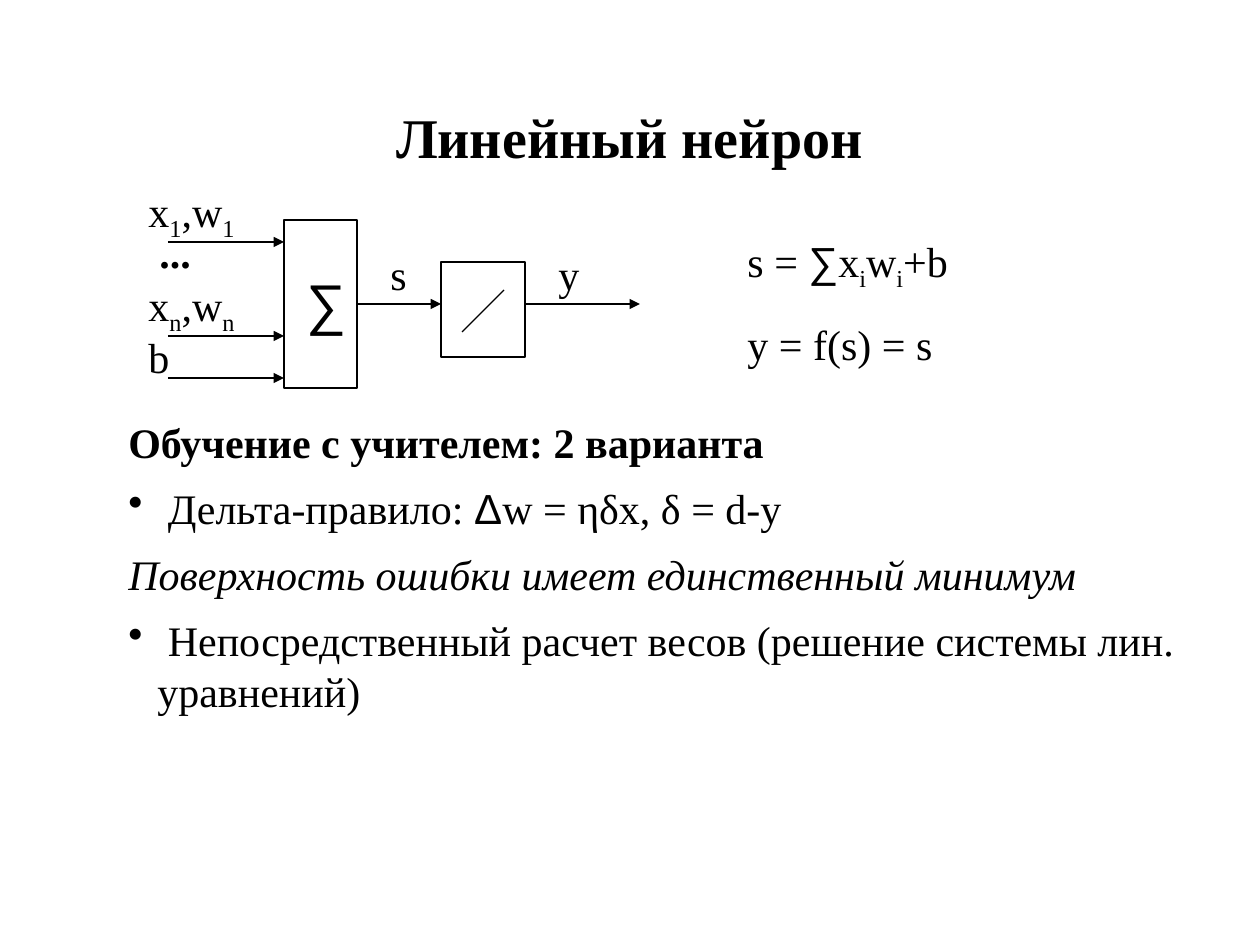
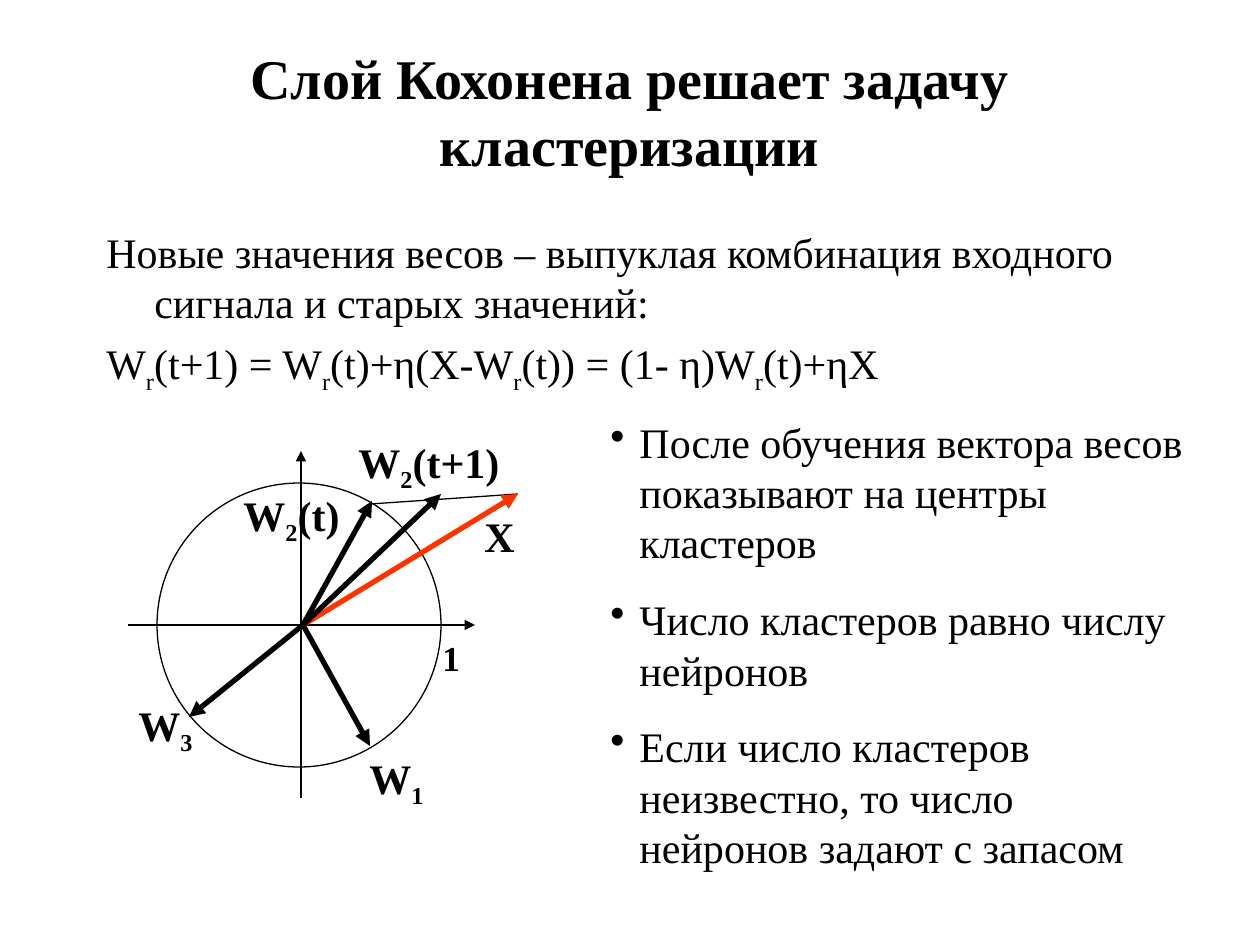
"""Build two slides on the linear neuron and the Kohonen layer."""
from itertools import groupby

from lxml.etree import SubElement
from pptx import Presentation
from pptx.dml.color import RGBColor
from pptx.enum.shapes import MSO_CONNECTOR as Line, MSO_SHAPE as Shape
from pptx.enum.text import MSO_ANCHOR as Anchor, MSO_AUTO_SIZE as AutoSize, PP_ALIGN as Align
from pptx.oxml.ns import qn
from pptx.util import Emu, Pt

BLACK = RGBColor(0x00, 0x00, 0x00)
RED = RGBColor(0xFF, 0x33, 0x00)
SERIF, SANS = "Times New Roman", "Arial"
SANS_SYMBOLS = "∑Δ"
THIN, THICK = 0.75, 3
BULLET_INDENT, HANGING_INDENT = 29, 48

NEURON = {
    "title": ("Линейный нейрон", (94, 84, 1071, 105)),
    "outlines": [(Shape.RECTANGLE, (284, 220, 73, 168)), (Shape.RECTANGLE, (441, 262, 84, 95))],
    "arrows": [((168, y), (284, y)) for y in (242, 336, 378)]
    + [((357, 304), (441, 304)), ((525, 304), (640, 304))],
    "lines": [((504, 290), (462, 332))],
    "labels": [
        ("x_1,w_1", (136, 179, 116, 70), {}),
        ("...", (147, 220, 84, 63), {"bold": True}),
        ("x_n,w_n", (136, 273, 116, 70), {}),
        ("b", (136, 325, 116, 63), {}),
        ("∑", (294, 262, 73, 81), {"size": 32}),
        ("s", (378, 242, 53, 63), {}),
        ("y", (546, 242, 63, 63), {}),
    ],
    "texts": [
        ((735, 229, 273, 147), 15, [("s = ∑x_iw_i+b", {}), ("y = f(s) = s", {})]),
        ((116, 410, 1081, 312), 9, [
            ("Обучение с учителем: 2 варианта", {"bold": True}),
            (" Дельта-правило: Δw = ηδx, δ = d-y", {"bullet": True}),
            ("Поверхность ошибки имеет единственный минимум", {"italic": True}),
            (" Непосредственный расчет весов (решение системы лин. уравнений)", {"bullet": True}),
        ]),
    ],
}

ORIGIN = (303, 625)
KOHONEN = {
    "title": ("Слой Кохонена решает задачу кластеризации", (94, 32, 1071, 157)),
    "outlines": [(Shape.OVAL, (157, 483, 284, 284))],
    "arrows": [((128, 625), (475, 625)), ((301, 798), (301, 451))],
    "lines": [((370, 504), (518, 494))],
    "vectors": [((189, 717), BLACK), ((370, 746), BLACK), ((372, 501), BLACK),
                ((518, 494), RED), ((441, 494), BLACK)],
    "labels": [
        ("W_1", (357, 746, 84, 70), {"bold": True}),
        ("W_3", (126, 693, 84, 70), {"bold": True}),
        ("W_2(t)", (231, 483, 126, 70), {"bold": True}),
        ("W_2(t+1)", (346, 430, 179, 70), {"bold": True}),
        ("X", (472, 504, 74, 63), {"bold": True}),
        ("1", (430, 630, 43, 55), {"bold": True, "size": 20}),
    ],
    "texts": [
        ((94, 220, 1071, 200), 6, [
            ("Новые значения весов – выпуклая комбинация входного сигнала и старых значений:",
             {"hanging": True}),
            ("W_r(t+1) = W_r(t)+η(X-W_r(t)) = (1- η)W_r(t)+ηX", {"hanging": True}),
        ]),
        ((598, 410, 599, 469), 15, [
            ("После обучения вектора весов показывают на центры кластеров", {"bullet": True}),
            ("Число кластеров равно числу нейронов", {"bullet": True}),
            ("Если число кластеров неизвестно, то число нейронов задают с запасом",
             {"bullet": True}),
        ]),
    ],
}


def px(*lengths):
    return [Emu(round(length * 914400 / 126)) for length in lengths]


def write(para, text, size=24, bold=False, italic=False, bullet=False, hanging=False):
    """Fill a paragraph; an underscore lowers the character after it."""
    if bullet or hanging:
        indent, = px(BULLET_INDENT if bullet else HANGING_INDENT)
        properties = para._p.get_or_add_pPr()
        properties.set("marL", str(indent))
        properties.set("indent", str(-indent))
        if bullet:
            SubElement(properties, qn("a:buChar")).set("char", "•")
    font = para.font
    font.name, font.size, font.bold, font.italic = SERIF, Pt(size), bold, italic
    font.color.rgb = BLACK
    styled = [(char, (index > 0 and place == 0, char in SANS_SYMBOLS))
              for index, part in enumerate(text.split("_"))
              for place, char in enumerate(part)]
    for (lowered, sans), group in groupby(styled, key=lambda item: item[1]):
        span = para.add_run()
        span.text = "".join(char for char, _ in group)
        if lowered:
            span._r.get_or_add_rPr().set("baseline", "-25000")
        if sans:
            span.font.name = SANS


def add_text(page, place, gap, paragraphs):
    frame = page.shapes.add_textbox(*px(*place)).text_frame
    frame.word_wrap = True
    for index, (text, style) in enumerate(paragraphs):
        para = frame.add_paragraph() if index else frame.paragraphs[0]
        if index:
            para.space_before = Pt(gap)
        write(para, text, **style)


def add_line(page, start, end, color=BLACK, width=THIN, arrow=True):
    line = page.shapes.add_connector(Line.STRAIGHT, *px(*start, *end))
    line.line.color.rgb, line.line.width = color, Pt(width)
    if arrow:
        SubElement(line.line._get_or_add_ln(), qn("a:tailEnd")).set("type", "triangle")
    SubElement(line._element.spPr, qn("a:effectLst"))


def add_outline(page, kind, place):
    shape = page.shapes.add_shape(kind, *px(*place))
    shape.shadow.inherit = False
    shape.fill.background()
    shape.line.color.rgb, shape.line.width = BLACK, Pt(THIN)


def add_title(page, text, place):
    title = page.shapes.title
    title.left, title.top, title.width, title.height = px(*place)
    frame = title.text_frame
    frame.word_wrap, frame.auto_size = True, AutoSize.NONE
    frame.vertical_anchor = Anchor.MIDDLE
    para = frame.paragraphs[0]
    para.alignment = Align.CENTER
    write(para, text, size=32, bold=True)


def build(deck, content):
    page = deck.slides.add_slide(deck.slide_layouts[5])
    add_title(page, *content["title"])
    for kind, place in content["outlines"]:
        add_outline(page, kind, place)
    for start, end in content["arrows"]:
        add_line(page, start, end)
    for start, end in content["lines"]:
        add_line(page, start, end, arrow=False)
    for tip, color in content.get("vectors", []):
        add_line(page, ORIGIN, tip, color, THICK)
    for text, place, style in content["labels"]:
        add_text(page, place, 0, [(text, style)])
    for place, gap, paragraphs in content["texts"]:
        add_text(page, place, gap, paragraphs)


def main():
    deck = Presentation()
    deck.slide_width, deck.slide_height = px(1260, 945)
    for content in (NEURON, KOHONEN):
        build(deck, content)
    deck.save("out.pptx")


if __name__ == "__main__":
    main()
